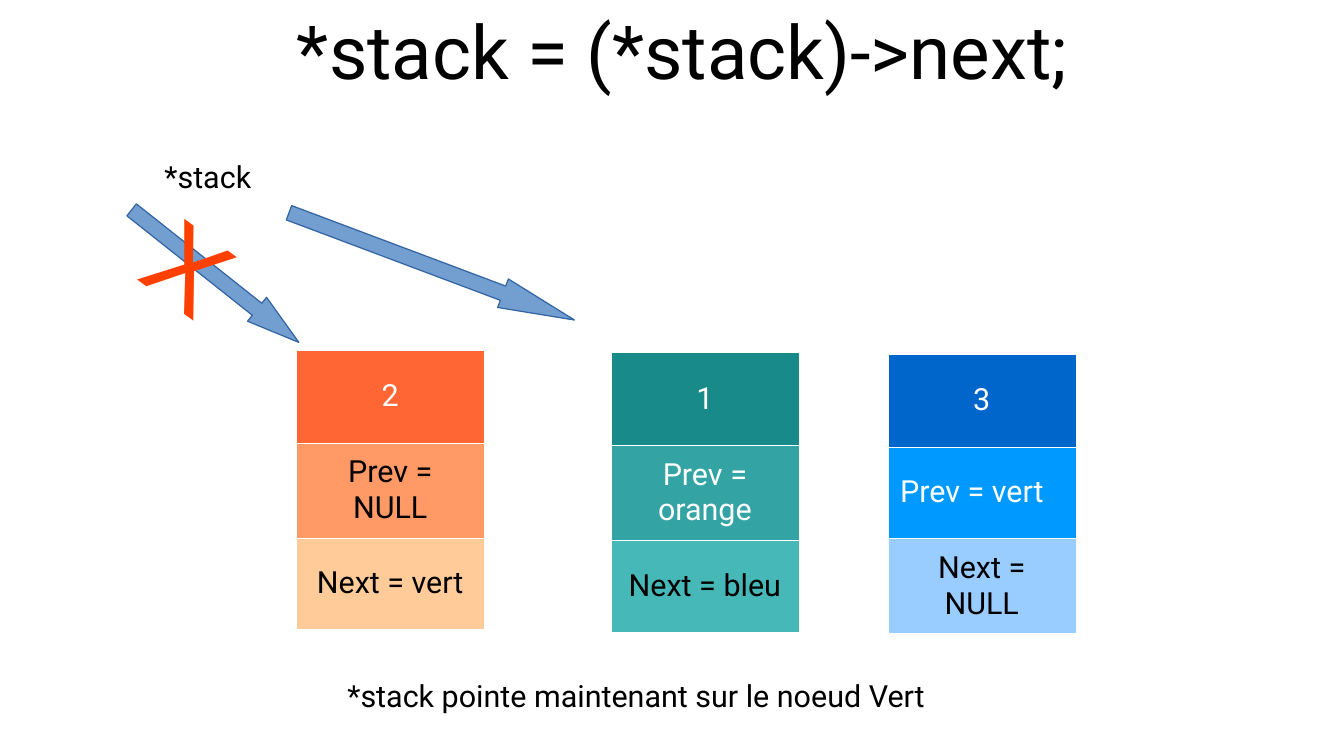
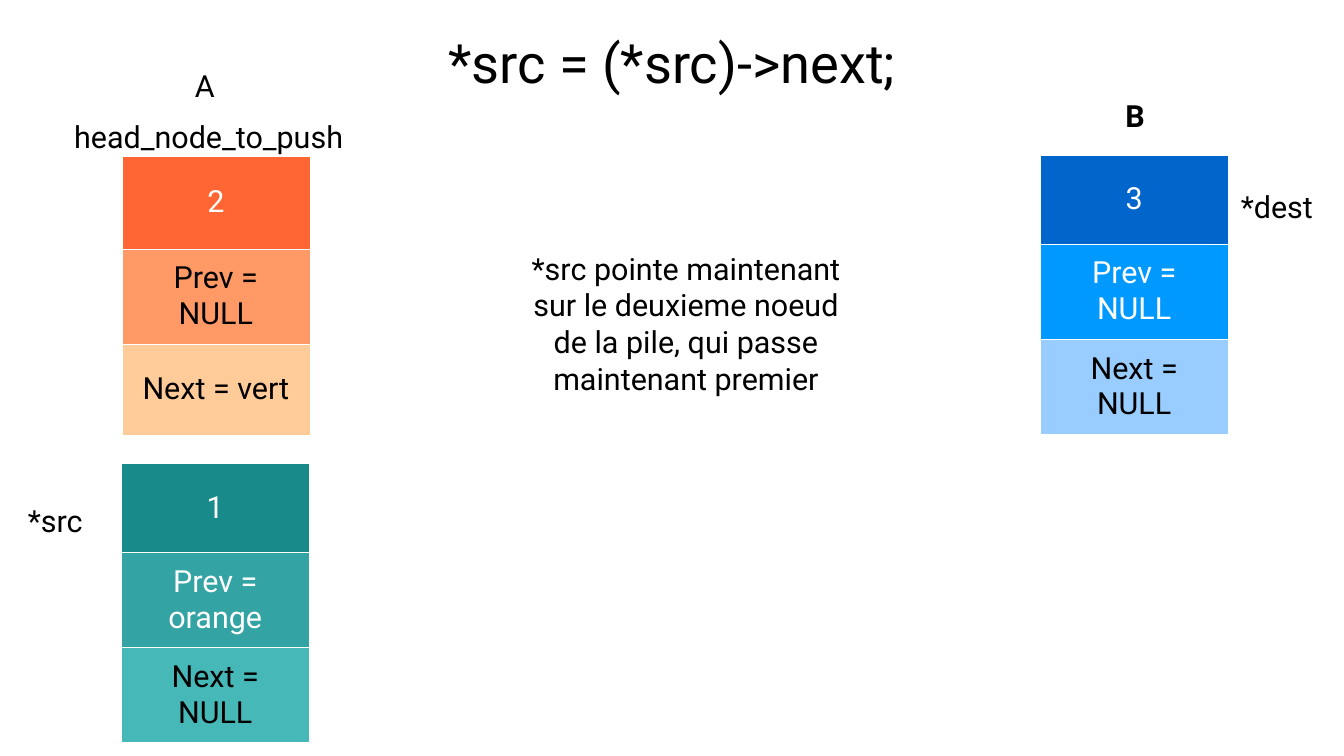
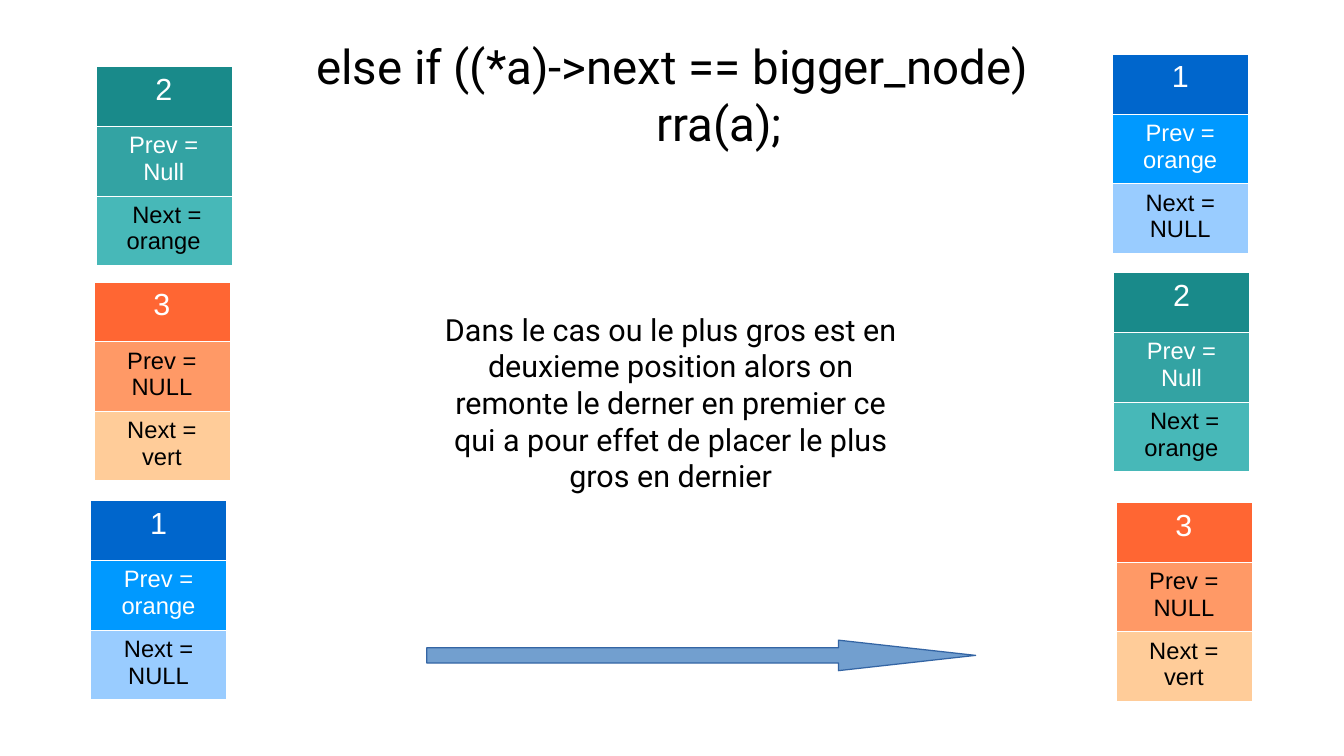
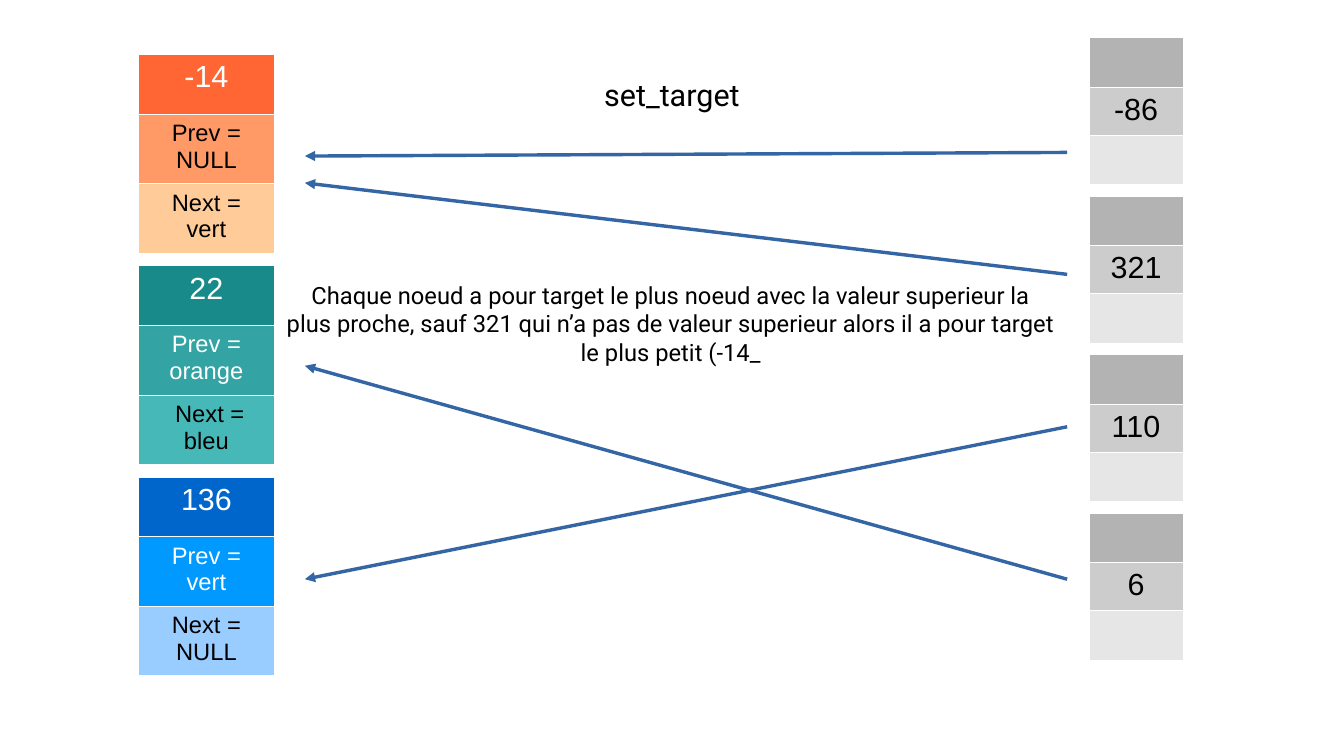
from lxml import etree
from pptx import Presentation
from pptx.dml.color import RGBColor
from pptx.enum.shapes import MSO_CONNECTOR, MSO_SHAPE
from pptx.enum.text import MSO_ANCHOR, MSO_AUTO_SIZE, PP_ALIGN
from pptx.oxml.ns import qn
from pptx.util import Inches, Pt

LEFT, CENTER = PP_ALIGN.LEFT, PP_ALIGN.CENTER
TOP, MIDDLE = MSO_ANCHOR.TOP, MSO_ANCHOR.MIDDLE
STRAIGHT, RIGHT_ARROW = MSO_CONNECTOR.STRAIGHT, MSO_SHAPE.RIGHT_ARROW
FIT_SHAPE, NO_FIT = MSO_AUTO_SIZE.SHAPE_TO_FIT_TEXT, MSO_AUTO_SIZE.NONE

GRID = Inches(0.25)  # every length below counts grid squares
TITLE_FONT, NODE_FONT = "Roboto", "Arial"
COLORS = {"black": "000000", "white": "FFFFFF", "cross": "FF4000",
          "arrow": "729FCF", "line": "3465A4"}
# Row fills and row text colours of each kind of node
NODES = {
    "orange": (("FF6633", "FF9966", "FFCC99"), ("white", "black", "black")),
    "teal": (("198A8A", "33A3A3", "47B8B8"), ("white", "white", "black")),
    "blue": (("0066CC", "0099FF", "99CCFF"), ("white", "white", "black")),
    "gray": (("B3B3B3", "CCCCCC", "E6E6E6"), ("black", "black", "black")),
}
# Column width, row heights, text sizes, font and anchor of each node size
LARGE = (6.16, (3.04, 3.12, 3), (18, 18, 18), TITLE_FONT, MIDDLE)
LARGE_LOW = (6.16, (3.04, 3, 3.12), (18, 18, 18), TITLE_FONT, MIDDLE)
LARGE_WRAPPED = (6.16, (2.92, 3.12, 3.12), (18, 18, 18), TITLE_FONT, MIDDLE)
SMALL = (4.46, (1.96, 2.28, 2.28), (18, 14, 14), NODE_FONT, TOP)
NARROW = (3.08, (1.58, 1.58, 1.58), (18, 18, 18), NODE_FONT, TOP)


def add_text(slide, box, text, align=LEFT, size=18, color="black",
             font=TITLE_FONT, bold=False):
    shape = slide.shapes.add_textbox(*[round(GRID * length) for length in box])
    frame = shape.text_frame
    frame.word_wrap = True
    frame.auto_size = FIT_SHAPE
    paragraph = frame.paragraphs[0]
    paragraph.alignment = align
    run = paragraph.add_run()
    run.text = text
    run.font.name, run.font.size, run.font.bold = font, Pt(size), bold
    run.font.color.rgb = RGBColor.from_string(COLORS[color])
    return shape


def add_node(slide, left, top, kind, form, texts):
    """Draw a list node as a table: value, previous link, next link."""
    width, heights, sizes, font, anchor = form
    box = (left, top, width, sum(heights))
    table = slide.shapes.add_table(
        3, 1, *[round(GRID * length) for length in box]).table
    table.first_row = table.horz_banding = False
    fills, inks = NODES[kind]
    for row, (text, fill, ink, height, size) in enumerate(
            zip(texts, fills, inks, heights, sizes)):
        table.rows[row].height = round(GRID * height)
        cell = table.cell(row, 0)
        cell.vertical_anchor = anchor
        properties = cell._tc.get_or_add_tcPr()
        for side in ("a:lnL", "a:lnR", "a:lnT", "a:lnB"):
            border = etree.SubElement(properties, qn(side), w="762")
            solid = etree.SubElement(border, qn("a:solidFill"))
            etree.SubElement(solid, qn("a:srgbClr"), val=COLORS["white"])
        cell.fill.solid()
        cell.fill.fore_color.rgb = RGBColor.from_string(fill)
        paragraph = cell.text_frame.paragraphs[0]
        paragraph.alignment = CENTER
        paragraph.font.size = Pt(size)
        if text:
            run = paragraph.add_run()
            run.text = text
            run.font.name, run.font.size = font, Pt(size)
            run.font.color.rgb = RGBColor.from_string(COLORS[ink])
    return table


presentation = Presentation()
presentation.slide_width = Inches(11.02)
presentation.slide_height = Inches(6.2)
title_layout = presentation.slide_layouts[5]

# Titles: box, size, lines with their indent
titles = [
    ((3, 0.13, 38.8, 3), 44, [("*stack = (*stack)->next;", 0)]),
    ((2.2, 0.52, 39.68, 3), 32, [("*src = (*src)->next;", 0)]),
    ((2.2, 0.96, 39.68, 4.24), 28,
     [("else if ((*a)->next == bigger_node)", 0), ("rra(a);", 3.08)]),
    ((2.2, 1, 39.68, 4.16), 18, [("set_target", 0)]),
]
slides = []
for box, size, lines in titles:
    slide = presentation.slides.add_slide(title_layout)
    slides.append(slide)
    title = slide.shapes.title
    title.left, title.top, title.width, title.height = [
        round(GRID * length) for length in box]
    frame = title.text_frame
    frame.margin_left = frame.margin_right = 0
    frame.margin_top = frame.margin_bottom = 0
    frame.vertical_anchor = MIDDLE
    frame.auto_size = NO_FIT
    for number, (line, indent) in enumerate(lines):
        paragraph = frame.add_paragraph() if number else frame.paragraphs[0]
        paragraph.alignment = CENTER
        paragraph.space_before = Pt(0)
        if indent:
            paragraph._p.get_or_add_pPr().set("marL", str(round(GRID * indent)))
        run = paragraph.add_run()
        run.text = line
        run.font.name, run.font.size = TITLE_FONT, Pt(size)
        run.font.color.rgb = RGBColor.from_string(COLORS["black"])
stack_slide, source_slide, rotate_slide, target_slide = slides

# Block arrows: slide, box, rotation, head length relative to height
block_arrows = [
    (stack_slide, (3.56, 8.56, 7, 1), 38.4, 1.75),
    (stack_slide, (9.16, 8.24, 10, 1), 20.6, 2.5),
    (rotate_slide, (14, 21, 18, 1), 0, 4.5),
]
for slide, box, rotation, head in block_arrows:
    arrow = slide.shapes.add_shape(
        RIGHT_ARROW, *[round(GRID * length) for length in box])
    arrow.shadow.inherit = False
    arrow.rotation = rotation
    arrow.adjustments[0], arrow.adjustments[1] = 0.5, head
    arrow.fill.solid()
    arrow.fill.fore_color.rgb = RGBColor.from_string(COLORS["arrow"])
    arrow.line.color.rgb = RGBColor.from_string(COLORS["line"])
    arrow.line.width = Pt(0)

# The stack pointer moves to the next node
add_node(stack_slide, 9.72, 11.48, "orange", LARGE,
         ("2", "Prev = NULL", "Next = vert"))
add_node(stack_slide, 20.04, 11.56, "teal", LARGE,
         ("1", "Prev = orange", "Next = bleu"))
blue_node = add_node(stack_slide, 29.12, 11.62, "blue", LARGE_LOW,
                     ("3", "Prev = vert", "Next = NULL"))
blue_node.cell(1, 0).text_frame.paragraphs[0].alignment = LEFT
add_text(stack_slide, (5, 5, 5.8, 1.76), "*stack")
cross = add_text(stack_slide, (4.88, 5.96, 2, 4.48), "X", size=66,
                 color="cross", font=NODE_FONT)
cross.rotation = 36.2
add_text(stack_slide, (11, 22, 23, 1.76),
         "*stack pointe maintenant sur le noeud Vert")

# The source pointer moves to the second node
add_node(source_slide, 4, 5.12, "orange", LARGE,
         ("2", "Prev = NULL", "Next = vert"))
add_node(source_slide, 3.98, 15.2, "teal", LARGE_WRAPPED,
         ("1", "Prev = orange", "Next = NULL"))
add_node(source_slide, 34.12, 5.08, "blue", LARGE_WRAPPED,
         ("3", "Prev = NULL", "Next = NULL"))
add_text(source_slide, (2.04, 3.68, 11.96, 2.8), "head_node_to_push")
add_text(source_slide, (6, 2, 1, 1.76), "A")
add_text(source_slide, (36.52, 3, 1, 1.76), "B", bold=True)
add_text(source_slide, (0.52, 16.28, 3, 1.76), "*src")
add_text(source_slide, (39.88, 5.96, 4, 3.76), "*dest", CENTER)
add_text(source_slide, (17, 8, 11, 7.2),
         "*src pointe maintenant sur le deuxieme noeud de la pile, "
         "qui passe maintenant premier", CENTER)

# The same three nodes before and after the rotation
rotated_nodes = {
    "teal": ("2", "Prev = Null", " Next = orange"),
    "orange": ("3", "Prev = NULL", "Next = vert"),
    "blue": ("1", "Prev = orange", "Next = NULL"),
}
rotation_places = [
    ("teal", 3.14, 2.18), ("orange", 3.08, 9.24), ("blue", 2.97, 16.42),
    ("blue", 36.48, 1.78), ("teal", 36.52, 8.94), ("orange", 36.6, 16.48),
]
for kind, left, top in rotation_places:
    add_node(rotate_slide, left, top, kind, SMALL, rotated_nodes[kind])
add_text(rotate_slide, (14, 10, 16, 7.2),
         "Dans le cas ou le plus gros est en deuxieme position alors on "
         "remonte le derner en premier ce qui a pour effet de placer le plus "
         "gros en dernier", CENTER)

# Each value on the right points at its target on the left
target_nodes = [
    ("orange", ("-14", "Prev = NULL", "Next = vert")),
    ("teal", ("22", "Prev = orange", " Next = bleu")),
    ("blue", ("136", "Prev = vert", "Next = NULL")),
]
for row, (kind, texts) in enumerate(target_nodes):
    add_node(target_slide, 4.54, 1.78 + 6.93 * row, kind, SMALL, texts)
for row, value in enumerate(("-86", "321", "110", "6")):
    add_node(target_slide, 35.72, 1.22 + 5.2 * row, "gray", NARROW,
             ("", value, ""))
for start, end in ((5, 5.12), (9, 6), (14, 19), (19, 12)):
    pointer = target_slide.shapes.add_connector(
        STRAIGHT, *[round(GRID * length) for length in (35, start, 10, end)])
    pointer.line.color.rgb = RGBColor.from_string(COLORS["line"])
    pointer.line.width = Pt(0)
    etree.SubElement(pointer.line._get_or_add_ln(), qn("a:tailEnd"),
                     type="triangle")
    etree.SubElement(pointer._element.spPr, qn("a:effectLst"))
add_text(target_slide, (9, 9, 26, 7.12),
         "Chaque noeud a pour target le plus noeud avec la valeur superieur "
         "la plus proche, sauf 321 qui n’a pas de valeur superieur alors il a "
         "pour target le plus petit (-14_", CENTER, size=14)

presentation.save("out.pptx")
